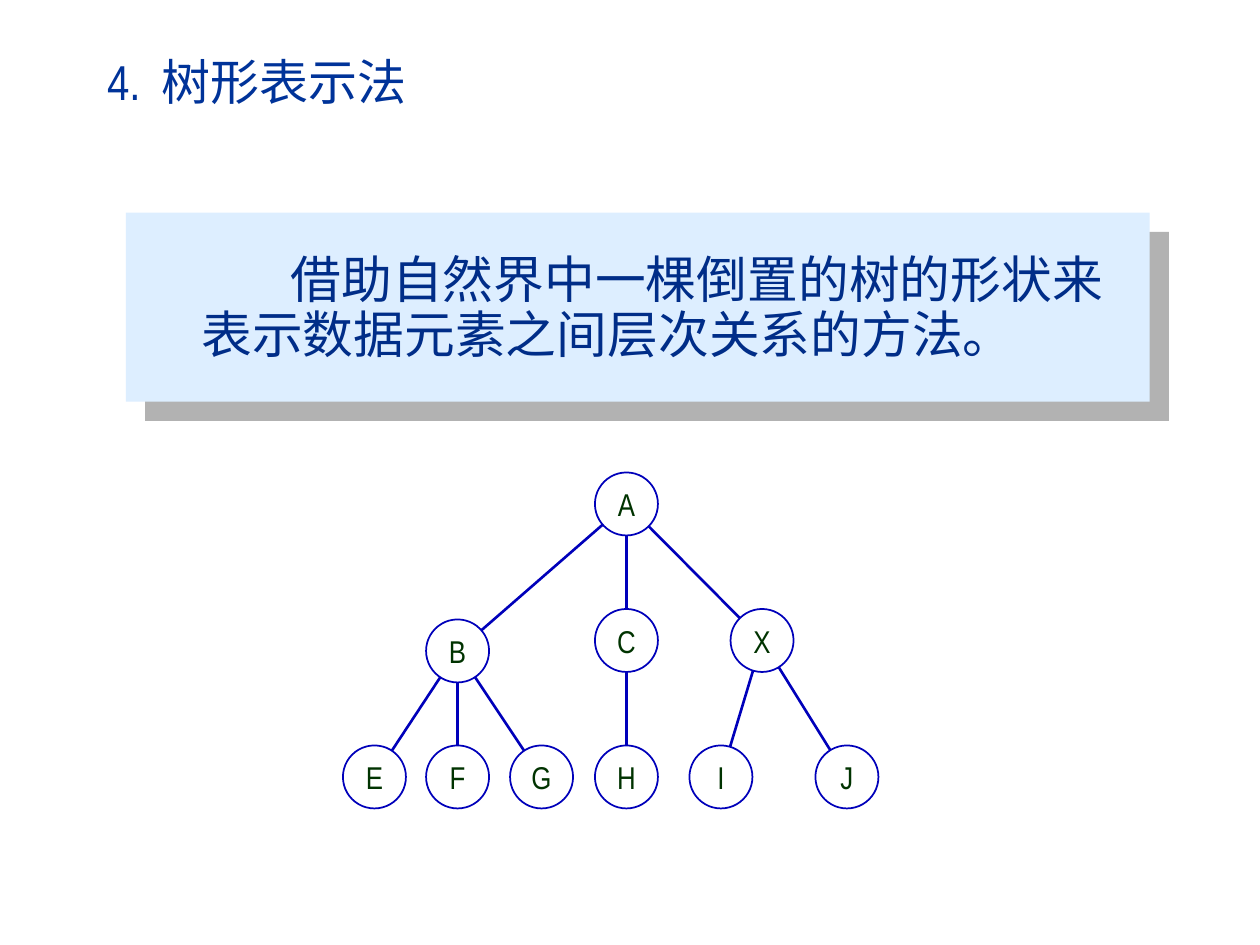
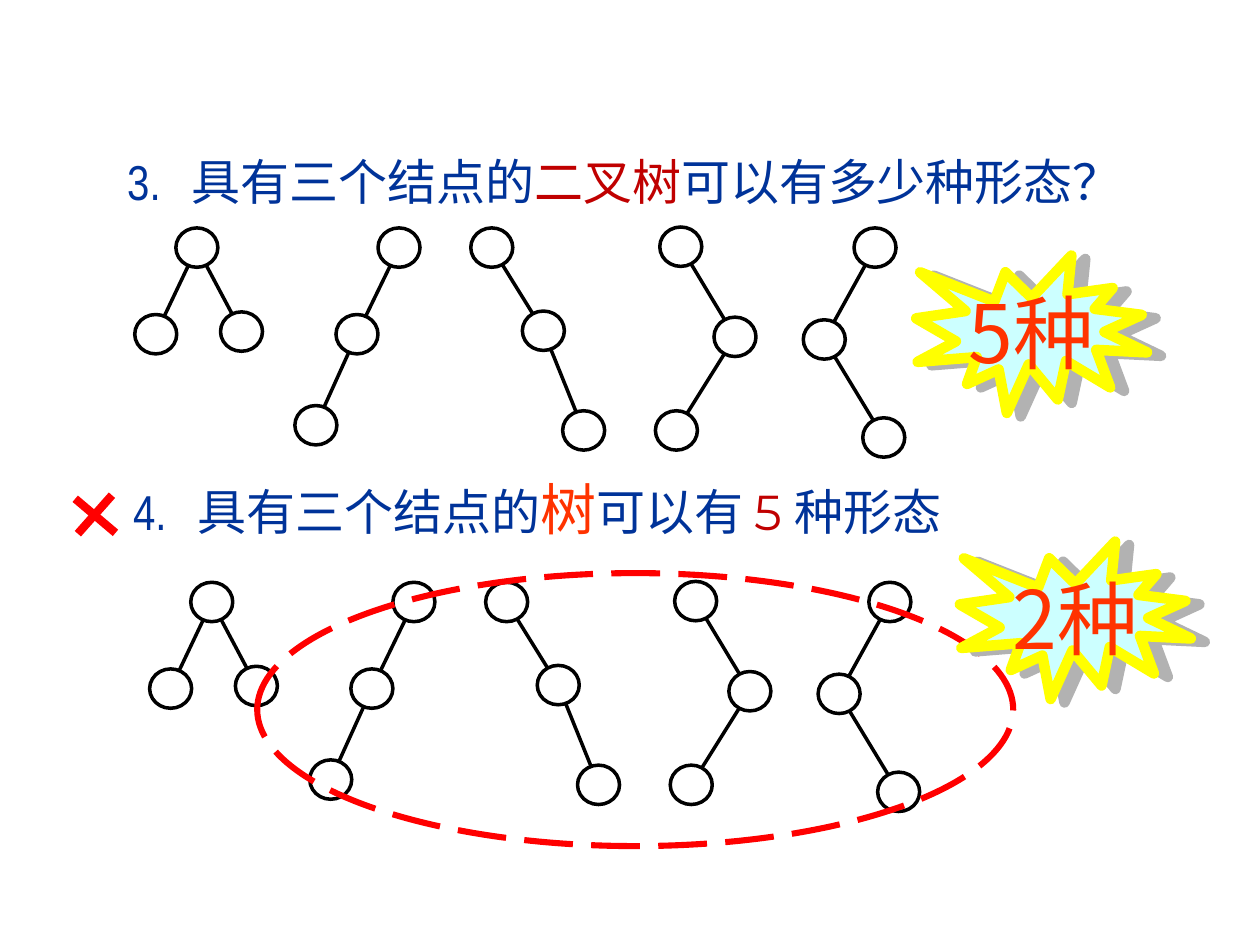
from itertools import pairwise
from math import hypot

from lxml.etree import SubElement as Sub
from pptx import Presentation
from pptx.dml.color import RGBColor
from pptx.enum.dml import MSO_LINE as Dash
from pptx.enum.shapes import MSO_CONNECTOR as Link, MSO_SHAPE as Kind
from pptx.enum.text import MSO_ANCHOR as Anchor, MSO_AUTO_SIZE as Auto, PP_ALIGN as Align
from pptx.oxml.ns import qn
from pptx.util import Pt

NARROW, HAN, HAN_JP, MONT = "Arial Narrow", "Noto Sans CJK SC", "Noto Sans CJK JP", "Montserrat"
NAVY, DEEP, CRIMSON, FLAME = "003399", "002D88", "C00000", "FF3300"
RED, BLUE, GREEN, BLACK = "FF0000", "0000BA", "003300", "000000"
PALE, CYAN, YELLOW, GRAY = "DDEEFF", "CCFFFF", "FFFF00", "B2B2B2"

# Each run: text, size, font, colour, and optional letter spacing
HEAD = [("4.\t", 28, NARROW, NAVY), ("树形表示法", 28, HAN, NAVY)]
ASK = [("3.\t", 28, NARROW, NAVY), ("具有三个结点的", 28, HAN, NAVY),
       ("二叉树", 28, HAN, CRIMSON), ("可以有多少种形态？", 28, HAN, NAVY)]
CLAIM = [("4.\t", 28, NARROW, NAVY), ("具有三个结点的", 28, HAN, NAVY),
         ("树", 32, HAN, FLAME, -5), ("可以有 ", 28, HAN, NAVY),
         ("5 ", 28, MONT, CRIMSON), ("种形态", 28, HAN, NAVY)]
IDEA = "借助自然界中一棵倒置的树的形状来表示数据元素之间层次关系的方法。"

# Centres of the labelled nodes, and the children of each parent
NODES = {"A": (358, 288), "B": (261.5, 372), "C": (358, 366), "X": (435.5, 366),
         "E": (214, 444), "F": (261.5, 444), "G": (309.5, 444),
         "H": (358, 444), "I": (412, 444), "J": (484, 444)}
KIDS = {"A": "BCX", "B": "EFG", "C": "H", "X": "IJ"}

# The five three-node forms, each a chain of centres
FORMS = [
    [(89, 191), (112.5, 141.5), (138, 189.5)],
    [(228, 141.5), (204, 191), (180.5, 243)],
    [(281, 141.5), (310.5, 189), (333.5, 246)],
    [(389, 141), (420, 192.5), (386.5, 246)],
    [(500, 141.5), (471, 194), (505, 250)],
]
SHIFT = (8.5, 202.5)
BURSTS = [("5种", 523.5, 146), ("2种", 548.5, 309.5)]
CROSS = [((43, 285), (66, 304.5)), ((44.5, 305), (64, 283))]


def tint(code):
    return RGBColor.from_string(code)


def put(obj, **vals):
    for key, val in vals.items():
        setattr(obj, key, val)


def shade(parent, dist, angle, color):
    """Give the properties element an offset shadow without blur."""
    fx = Sub(parent, qn("a:effectLst"))
    drop = Sub(fx, qn("a:outerShdw"), dist=str(Pt(dist)), dir=str(angle * 60000),
               algn="ctr", rotWithShape="0")
    Sub(drop, qn("a:srgbClr"), val=color)
    return fx


def stroke(line, color, width):
    line.color.rgb = tint(color)
    line.width = Pt(width)


def write(frame, runs, **para):
    put(frame, word_wrap=True, auto_size=Auto.NONE)
    par = frame.paragraphs[0]
    put(par, **para)
    for text, size, face, color, *gap in runs:
        run = par.add_run()
        run.text = text
        put(run.font, size=Pt(size), name=face)
        run.font.color.rgb = tint(color)
        props = run.font._element
        Sub(props, qn("a:ea"), typeface=face)
        if gap:
            props.set("spc", str(gap[0] * 100))
    return par


def number(frame, runs, stop):
    """Write a numbered line whose text starts at the tab stop."""
    par = write(frame, runs, alignment=Align.LEFT)
    frame.vertical_anchor = Anchor.TOP
    tabs = Sub(par._p.get_or_add_pPr(), qn("a:tabLst"))
    Sub(tabs, qn("a:tab"), pos=str(Pt(stop)), algn="l")


def title(slide, runs, x, y, w, stop):
    box = slide.shapes.title
    put(box, left=Pt(x), top=Pt(y), width=Pt(w), height=Pt(41))
    number(box.text_frame, runs, stop)


def frame(slide, x, y, w, h):
    return slide.shapes.add_textbox(Pt(x), Pt(y), Pt(w), Pt(h)).text_frame


def shape(slide, kind, x, y, w, h, fill=None, line=None):
    item = slide.shapes.add_shape(kind, Pt(x), Pt(y), Pt(w), Pt(h))
    item.shadow.inherit = False
    if fill:
        item.fill.solid()
        item.fill.fore_color.rgb = tint(fill)
    else:
        item.fill.background()
    if line:
        stroke(item.line, *line)
    else:
        item.line.fill.background()
    return item


def cast(item, dist, angle):
    props = item._element.spPr
    props.remove(props.find(qn("a:effectLst")))
    shade(props, dist, angle, GRAY)


def rule(slide, start, end, color, width):
    line = slide.shapes.add_connector(Link.STRAIGHT, *map(Pt, (*start, *end)))
    stroke(line.line, color, width)
    Sub(line._element.spPr, qn("a:effectLst"))


def node(slide, mid, w, h, line):
    return shape(slide, Kind.OVAL, mid[0] - w / 2, mid[1] - h / 2, w, h, line=line)


def edge(slide, one, two, w, h, line):
    """Join two equal ovals from rim to rim."""
    dx, dy = two[0] - one[0], two[1] - one[1]
    cut = 1 / hypot(2 * dx / w, 2 * dy / h)
    rule(slide, (one[0] + dx * cut, one[1] + dy * cut),
         (two[0] - dx * cut, two[1] - dy * cut), *line)


def forms(slide, dx=0, dy=0):
    size, line = (24, 22.5), (BLACK, 2)
    for form in FORMS:
        spots = [(x + dx, y + dy) for x, y in form]
        for spot in spots:
            node(slide, spot, *size, line)
        for one, two in pairwise(spots):
            edge(slide, one, two, *size, line)


def burst(slide, text, x, y):
    star = shape(slide, Kind.EXPLOSION1, x, y, 132, 90, CYAN, (YELLOW, 6))
    cast(star, 8.2, 14)
    par = write(frame(slide, x + 23, y + 12, 112, 62.5), [(text, 46, HAN_JP, FLAME)])
    props = par.runs[0].font._element
    fx = shade(props, 2, 45, BLACK)
    props.find(qn("a:solidFill")).addnext(fx)


def tree_slide(slide):
    title(slide, HEAD, 54, 26, 300, 31)
    panel = shape(slide, Kind.RECTANGLE, 72, 121.5, 585, 108, PALE)
    cast(panel, 15.6, 45)
    text = frame(slide, 108, 142, 534, 70)
    text.vertical_anchor = Anchor.MIDDLE
    par = write(text, [(IDEA, 29, HAN, DEEP)], line_spacing=0.9)
    par._p.get_or_add_pPr().set("indent", str(Pt(51)))

    for name, mid in NODES.items():
        ring = node(slide, mid, 36, 36, (BLUE, 1))
        label = ring.text_frame
        put(label, margin_left=0, margin_right=0, margin_top=0, margin_bottom=0,
            vertical_anchor=Anchor.MIDDLE)
        write(label, [(name, 18, NARROW, GREEN)], alignment=Align.CENTER)
    for top, kids in KIDS.items():
        for kid in kids:
            edge(slide, NODES[top], NODES[kid], 36, 36, (BLUE, 1.5))


def form_slide(slide):
    title(slide, ASK, 65.5, 83, 630, 37)
    forms(slide)
    number(frame(slide, 69, 267.5, 500, 45), CLAIM, 37)
    forms(slide, *SHIFT)
    loop = shape(slide, Kind.OVAL, 147, 327.5, 432, 156, line=(RED, 3.5))
    loop.line.dash_style = Dash.LONG_DASH
    for start, end in CROSS:
        rule(slide, start, end, RED, 4.75)
    for mark in BURSTS:
        burst(slide, *mark)


def main():
    deck = Presentation()
    put(deck, slide_width=Pt(720), slide_height=Pt(540))
    for draw in (tree_slide, form_slide):
        draw(deck.slides.add_slide(deck.slide_layouts[5]))
    deck.save("out.pptx")


if __name__ == "__main__":
    main()
